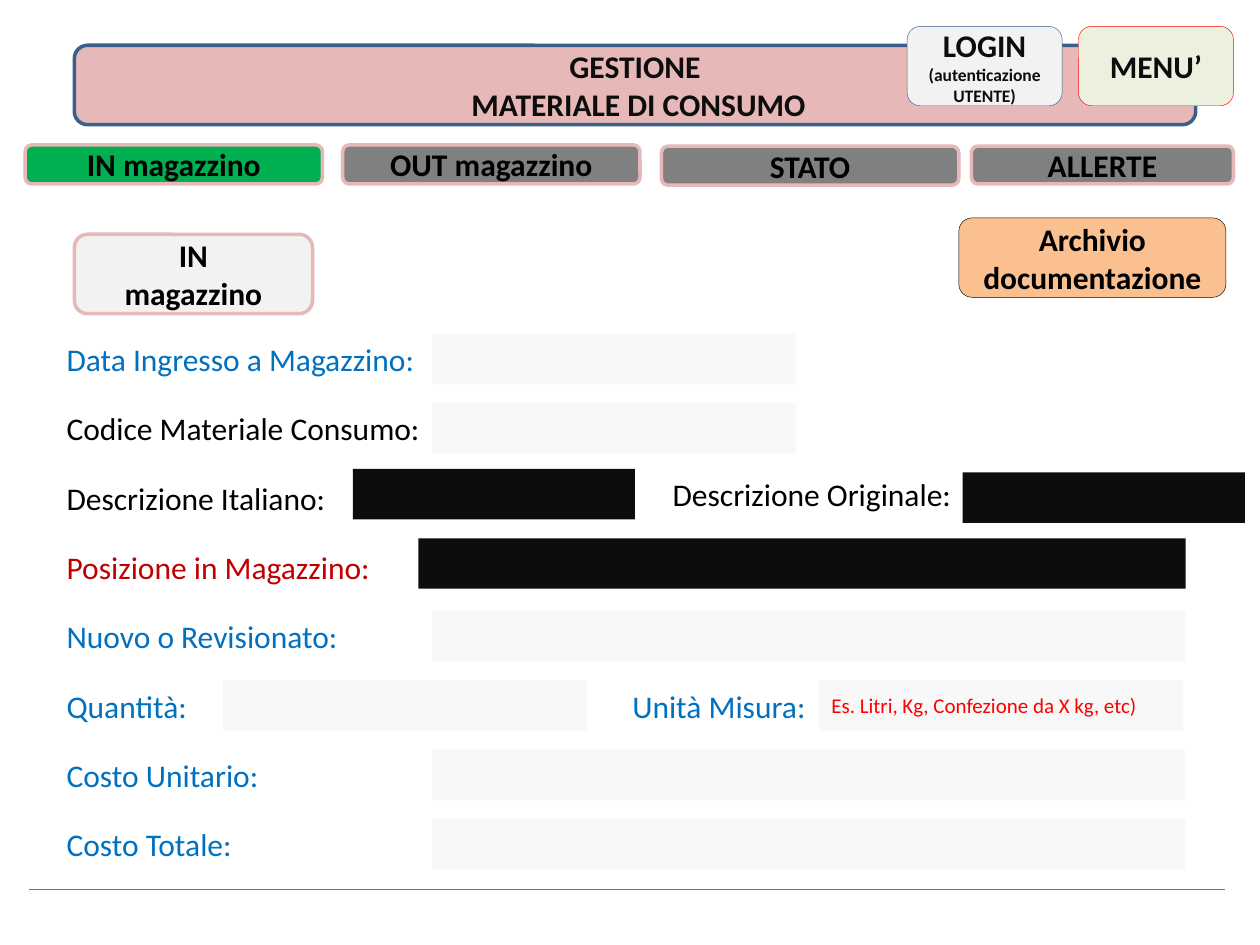
from pptx import Presentation
from pptx.dml.color import RGBColor
from pptx.enum.shapes import MSO_CONNECTOR, MSO_SHAPE
from pptx.enum.text import MSO_ANCHOR, PP_ALIGN
from pptx.oxml.ns import qn
from pptx.util import Inches, Pt
from lxml import etree

ROUND, RECT = MSO_SHAPE.ROUNDED_RECTANGLE, MSO_SHAPE.RECTANGLE
MIDDLE, CENTER, LEFT = MSO_ANCHOR.MIDDLE, PP_ALIGN.CENTER, PP_ALIGN.LEFT
TOP, STEP, HIGH = 2.65, 0.55, 0.4  # grid of the form rows
INK, BLACK, BLUE, RED = "0D0D0D", "000000", "0070C0", "C00000"
PINK, PALE, GREY, FIELD = "E6B9B8", "F2F2F2", "808080", "F8F8F8"


def rgb(code):
    return RGBColor.from_string(code)


def write(frame, lines, color, bold=False, align=LEFT):
    frame.word_wrap = True
    for i, (text, size) in enumerate(lines):
        para = frame.paragraphs[0] if i == 0 else frame.add_paragraph()
        para.text, para.alignment = text, align
        font = para.font
        font.name, font.size, font.bold = "Calibri", Pt(size), bold
        font.color.rgb = rgb(color)


deck = Presentation()
deck.slide_width, deck.slide_height = Inches(10), Inches(7.5)
shapes = deck.slides.add_slide(deck.slide_layouts[6]).shapes

# Title bar, buttons and tabs: place, fill, line, line width, ink, lines
buttons = [
    ((0.59, 0.36, 8.9, 0.63), PINK, "3A5F8C", 2, INK,
     [("GESTIONE", 18), (" MATERIALE DI CONSUMO", 18)]),
    ((7.2, 0.21, 1.23, 0.63), PALE, "3A5F8C", 0.25, INK,
     [("LOGIN", 18), ("(autenticazione UTENTE)", 10)]),
    ((8.56, 0.21, 1.23, 0.63), "EBF1DE", "FF0000", 0.25, INK, [("MENU’", 18)]),
    ((0.59, 1.86, 1.89, 0.63), PALE, PINK, 2, BLACK, [("IN", 18), ("magazzino", 18)]),
    ((0.2, 1.15, 2.36, 0.31), "00B050", PINK, 2, BLACK, [("IN magazzino", 18)]),
    ((2.72, 1.15, 2.36, 0.31), GREY, PINK, 2, BLACK, [("OUT magazzino", 18)]),
    ((5.25, 1.16, 2.36, 0.31), GREY, PINK, 2, BLACK, [("STATO", 18)]),
    ((7.71, 1.16, 2.08, 0.3), GREY, PINK, 2, BLACK, [("ALLERTE", 18)]),
    ((7.61, 1.73, 2.12, 0.63), "FAC090", BLACK, 0.25, BLACK,
     [("Archivio documentazione", 18)]),
]
for place, fill, edge, width, ink, lines in buttons:
    box = shapes.add_shape(ROUND, *map(Inches, place))
    box.shadow.inherit = False
    box.fill.solid()
    box.fill.fore_color.rgb = rgb(fill)
    box.line.color.rgb = rgb(edge)
    box.line.width = Pt(width)
    box.text_frame.vertical_anchor = MIDDLE
    write(box.text_frame, lines, ink, True, CENTER)

# Form labels: row, left, width, ink, text
labels = [
    (0, 0.43, 4.18, BLUE, "Data Ingresso a Magazzino:"),
    (1, 0.43, 4.18, BLACK, "Codice Materiale Consumo:"),
    (2, 0.43, 4.18, BLACK, "Descrizione Italiano:"),
    (1.95, 5.24, 2.54, BLACK, "Descrizione Originale:"),
    (3, 0.43, 4.18, RED, "Posizione in Magazzino:"),
    (4, 0.43, 4.18, BLUE, "Nuovo o Revisionato:"),
    (5, 0.43, 2.05, BLUE, "Quantità:"),
    (5, 4.92, 4.18, BLUE, "Unità Misura:"),
    (6, 0.43, 4.18, BLUE, "Costo Unitario:"),
    (7, 0.43, 4.18, BLUE, "Costo Totale:"),
]
for row, left, width, ink, text in labels:
    box = shapes.add_textbox(Inches(left), Inches(TOP + row * STEP),
                             Inches(width), Inches(HIGH))
    write(box.text_frame, [(text, 18)], ink)

# Form fields: row, left, width, fill, hint
fields = [
    (0, 3.43, 2.89, FIELD, ""),
    (1, 3.43, 2.89, FIELD, ""),
    (1.95, 2.8, 2.24, INK, ""),
    (2, 7.64, 2.24, INK, ""),
    (2.95, 3.32, 6.09, INK, ""),
    (4, 3.43, 5.98, FIELD, ""),
    (5, 1.77, 2.89, FIELD, ""),
    (5, 6.5, 2.89, FIELD, "Es. Litri, Kg, Confezione da X kg, etc)"),
    (6, 3.43, 5.98, FIELD, ""),
    (7, 3.43, 5.98, FIELD, ""),
]
for row, left, width, fill, hint in fields:
    box = shapes.add_shape(RECT, Inches(left), Inches(TOP + row * STEP),
                           Inches(width), Inches(HIGH))
    box.shadow.inherit = False
    box.fill.solid()
    box.fill.fore_color.rgb = rgb(fill)
    box.line.fill.background()
    if hint:
        box.text_frame.vertical_anchor = MIDDLE
        write(box.text_frame, [(hint, 12)], "FF0000")

# Footer rule
rule = shapes.add_connector(MSO_CONNECTOR.STRAIGHT, Inches(0.23), Inches(7.06),
                            Inches(9.72), Inches(7.06))
rule.line.color.rgb = rgb("4B7EBC")
rule.line.width = Pt(0.75)
etree.SubElement(rule._element.spPr, qn("a:effectLst"))

deck.save("out.pptx")
